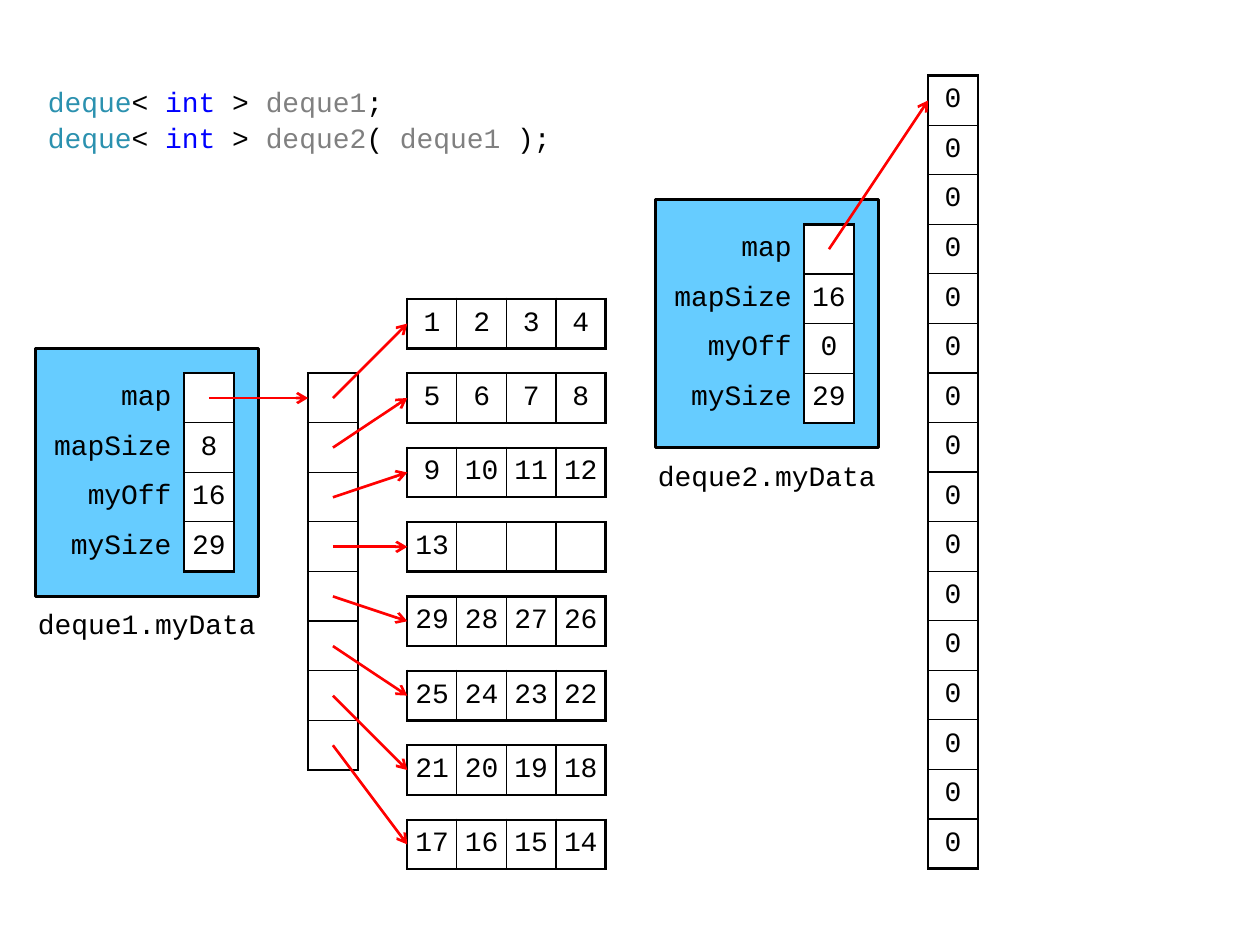
from lxml.etree import SubElement
from pptx import Presentation
from pptx.dml.color import RGBColor
from pptx.enum.shapes import MSO_CONNECTOR, MSO_SHAPE
from pptx.enum.text import MSO_ANCHOR, MSO_AUTO_SIZE, PP_ALIGN
from pptx.oxml.ns import qn
from pptx.util import Inches, Pt

BLACK = RGBColor(0, 0, 0)
WHITE = RGBColor(255, 255, 255)
RED = RGBColor(255, 0, 0)
SKY = RGBColor(0x66, 0xCC, 0xFF)
TEAL = RGBColor(0x2B, 0x91, 0xAF)
BLUE = RGBColor(0, 0, 255)
GRAY = RGBColor(0x80, 0x80, 0x80)

HEAD = [("deque", TEAL), ("< ", BLACK), ("int", BLUE), (" > ", BLACK)]
CODE = [
    HEAD + [("deque1", GRAY), (";", BLACK)],
    HEAD + [("deque2", GRAY), ("( ", BLACK), ("deque1", GRAY), (" );", BLACK)],
]
FIELDS = ["map", "mapSize", "myOff", "mySize"]
# name, column and row of the field table, values
DEQUES = [
    ("deque1", 0, 6, ["", "8", "16", "29"]),
    ("deque2", 12.5, 3, ["", "16", "0", "29"]),
]
BLOCKS = [
    ["1", "2", "3", "4"],
    ["5", "6", "7", "8"],
    ["9", "10", "11", "12"],
    ["13", "", "", ""],
    ["29", "28", "27", "26"],
    ["25", "24", "23", "22"],
    ["21", "20", "19", "18"],
    ["17", "16", "15", "14"],
]
ZEROS = ["0"] * 16

# Everything sits on a grid of one-centimetre cells
UNIT = 1 / 2.54
LEFT, TOP = 0.28, 0.6
LABEL = 3                     # width of a field label, in cells
MAP_COL, MAP_ROW = 5.5, 6
BLOCK_COL, BLOCK_ROW, PITCH = 7.5, 4.5, 1.5
ZERO_COL = 18
THICK, THIN = 1.5, 0.75


def size(n):
    return Inches(n * UNIT)


def point(col, row):
    return Inches(LEFT + col * UNIT), Inches(TOP + row * UNIT)


def write(par, text, color=BLACK):
    run = par.add_run()
    run.text = text
    run.font.name = "Courier New"
    run.font.size = Pt(16)
    run.font.color.rgb = color


def style(item, **values):
    for key, value in values.items():
        setattr(item, key, value)


def border(cell, widths):
    """Set left, right, top and bottom widths in points; 0 hides a side."""
    props = cell._tc.get_or_add_tcPr()
    for side, width in zip("LRTB", widths):
        line = SubElement(props, qn(f"a:ln{side}"), w=str(Pt(width)))
        if width:
            fill = SubElement(line, qn("a:solidFill"))
            SubElement(fill, qn("a:srgbClr"), val=str(BLACK))
        else:
            SubElement(line, qn("a:noFill"))


def grid(slide, col, row, rows, labels=()):
    """Draw a table of values, with an optional column of labels before it."""
    skip = 1 if labels else 0
    high, wide = len(rows), len(rows[0])
    frame = slide.shapes.add_table(
        high, wide + skip, *point(col, row),
        size(wide + skip * LABEL), size(high))
    table = frame.table
    style(table, first_row=False, horz_banding=False)
    for i, column in enumerate(table.columns):
        column.width = size(LABEL if i < skip else 1)
    for r, values in enumerate(rows):
        table.rows[r].height = size(1)
        texts = [labels[r], *values] if labels else values
        for c, text in enumerate(texts):
            cell = table.cell(r, c)
            label = c < skip
            side = Inches(0.1 if label else 0)
            style(cell, vertical_anchor=MSO_ANCHOR.MIDDLE,
                  margin_left=side, margin_right=side,
                  margin_top=Inches(0.04), margin_bottom=Inches(0.04))
            par = cell.text_frame.paragraphs[0]
            par.alignment = PP_ALIGN.RIGHT if label else PP_ALIGN.CENTER
            if text:
                write(par, text)
            if label:
                border(cell, (0, THICK, 0, 0))
                cell.fill.background()
            else:
                edges = (c == skip, c == skip + wide - 1,
                         r == 0, r == high - 1)
                border(cell, [THICK if edge else THIN for edge in edges])
                cell.fill.solid()
                cell.fill.fore_color.rgb = WHITE


def arrow(slide, start, end):
    line = slide.shapes.add_connector(
        MSO_CONNECTOR.STRAIGHT, *point(*start), *point(*end))
    line.line.color.rgb = RED
    line.line.width = Pt(THICK)
    SubElement(line.line._get_or_add_ln(), qn("a:tailEnd"), type="arrow")
    SubElement(line._element.spPr, qn("a:effectLst"))


def code(slide):
    body = slide.placeholders[1]
    style(body, left=Inches(LEFT), top=Inches(TOP),
          width=size(11), height=size(2))
    frame = body.text_frame
    style(frame, auto_size=MSO_AUTO_SIZE.NONE, word_wrap=True,
          vertical_anchor=MSO_ANCHOR.TOP)
    for i, parts in enumerate(CODE):
        par = frame.add_paragraph() if i else frame.paragraphs[0]
        props = par._p.get_or_add_pPr()
        props.set("marL", "0")
        props.set("indent", "0")
        SubElement(props, qn("a:buNone"))
        style(par, space_before=Pt(0), line_spacing=1.07)
        for text, color in parts:
            write(par, text, color)


def deque(slide, name, col, row, values):
    box = slide.shapes.add_shape(
        MSO_SHAPE.FLOWCHART_PROCESS, *point(col, row - 0.5),
        size(4.5), size(5))
    box.shadow.inherit = False
    box.fill.solid()
    box.fill.fore_color.rgb = SKY
    box.line.color.rgb = BLACK
    box.line.width = Pt(THICK)
    grid(slide, col, row, [[value] for value in values], FIELDS)

    note = slide.shapes.add_textbox(
        *point(col, row + 4.5), size(4.5), size(1))
    frame = note.text_frame
    style(frame, word_wrap=True, vertical_anchor=MSO_ANCHOR.MIDDLE,
          margin_left=0, margin_right=0,
          margin_top=Inches(0.04), margin_bottom=0)
    par = frame.paragraphs[0]
    par.alignment = PP_ALIGN.CENTER
    write(par, f"{name}.myData")


def main():
    deck = Presentation()
    style(deck, slide_width=Inches(10), slide_height=Inches(7.5))
    slide = deck.slides.add_slide(deck.slide_layouts[1])
    title = slide.shapes.title._element
    title.getparent().remove(title)

    code(slide)
    for item in DEQUES:
        deque(slide, *item)
    grid(slide, MAP_COL, MAP_ROW, [[""] for _ in BLOCKS])
    grid(slide, ZERO_COL, 0, [[zero] for zero in ZEROS])

    targets = [(MAP_COL, MAP_ROW + 0.5), (ZERO_COL, 0.5)]
    for (_, col, row, _), end in zip(DEQUES, targets):
        arrow(slide, (col + LABEL + 0.5, row + 0.5), end)
    for i, block in enumerate(BLOCKS):
        row = BLOCK_ROW + i * PITCH
        grid(slide, BLOCK_COL, row, [block])
        arrow(slide, (MAP_COL + 0.5, MAP_ROW + i + 0.5),
              (BLOCK_COL, row + 0.5))
    deck.save("out.pptx")


if __name__ == "__main__":
    main()
